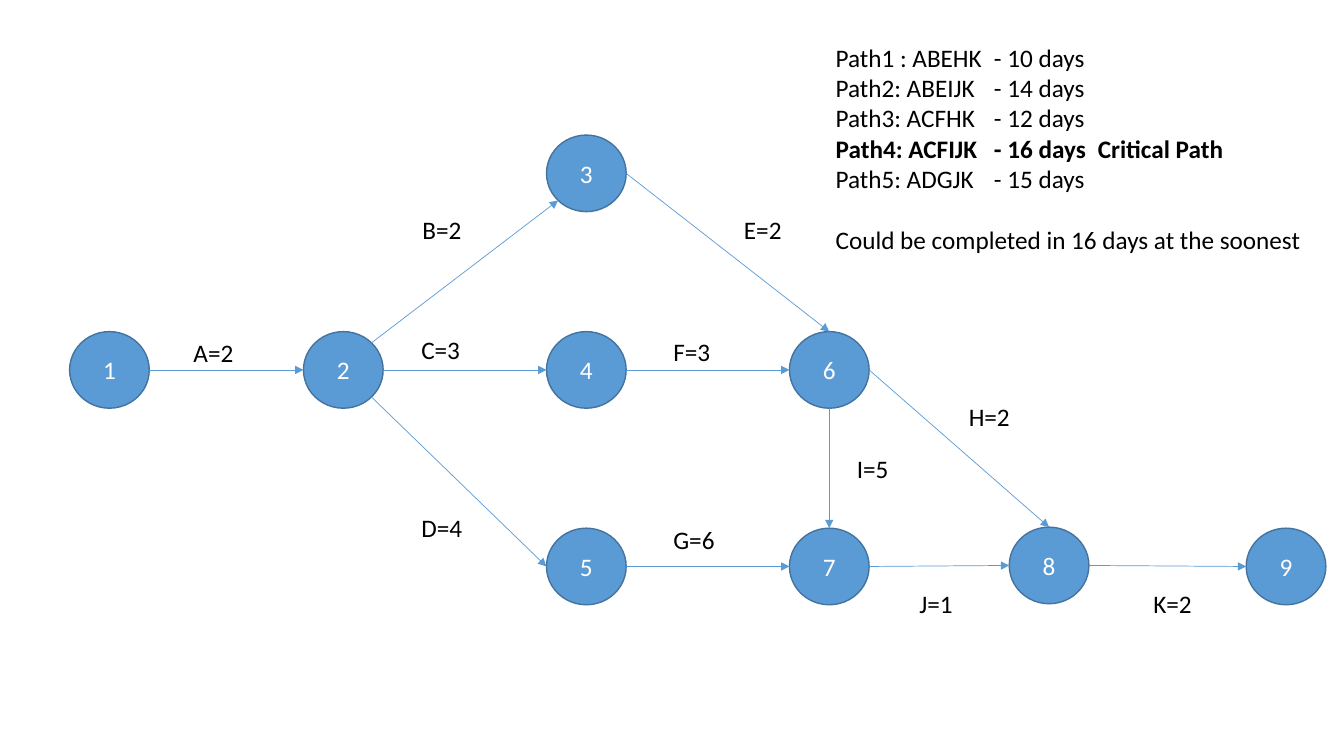
from dataclasses import dataclass
from math import cos, pi, sin

from lxml import etree
from pptx import Presentation
from pptx.dml.color import RGBColor
from pptx.enum.shapes import MSO_CONNECTOR, MSO_SHAPE
from pptx.enum.text import MSO_ANCHOR, MSO_AUTO_SIZE, PP_ALIGN
from pptx.oxml.ns import qn
from pptx.util import Inches, Pt

STRAIGHT = MSO_CONNECTOR.STRAIGHT
ELLIPSE = MSO_SHAPE.OVAL
MIDDLE = MSO_ANCHOR.MIDDLE
GROW = MSO_AUTO_SIZE.SHAPE_TO_FIT_TEXT
LEFT, CENTER = PP_ALIGN.LEFT, PP_ALIGN.CENTER


@dataclass(frozen=True)
class Theme:
    """Colours, font and sizes shared by the whole slide."""

    node: RGBColor = RGBColor(0x5B, 0x9B, 0xD5)
    outline: RGBColor = RGBColor(0x43, 0x73, 0x9E)
    light: RGBColor = RGBColor(0xFF, 0xFF, 0xFF)
    dark: RGBColor = RGBColor(0, 0, 0)
    font: str = "Calibri"
    size: int = 18
    outline_width: float = 1
    arrow_width: float = 0.5


THEME = Theme()
NODE_WIDTH, NODE_HEIGHT = 0.79, 0.76
LABEL_HEIGHT = 0.4
TOP_ROW, MIDDLE_ROW, BOTTOM_ROW = 1.34, 3.29, 5.24
TOP, LEFT_SIDE, BOTTOM, LOWER_RIGHT, RIGHT, UPPER_RIGHT = 0, 2, 4, 5, 6, 7
LOWER_LEFT = 3

EVENTS = {
    "1": (0.69, MIDDLE_ROW),
    "2": (3.01, MIDDLE_ROW),
    "3": (5.42, TOP_ROW),
    "4": (5.42, MIDDLE_ROW),
    "5": (5.42, BOTTOM_ROW),
    "6": (7.83, MIDDLE_ROW),
    "7": (7.83, BOTTOM_ROW),
    "8": (10.01, 5.23),
    "9": (12.36, BOTTOM_ROW),
}
ACTIVITIES = [
    ("A=2", "1", RIGHT, "2", LEFT_SIDE, 1.82, 3.3, 0.85),
    ("B=2", "2", UPPER_RIGHT, "3", LOWER_LEFT, 4.09, 2.08, 0.59),
    ("C=3", "2", RIGHT, "4", LEFT_SIDE, 4.08, 3.27, 0.59),
    ("D=4", "2", LOWER_RIGHT, "5", LEFT_SIDE, 4.08, 5.03, 0.61),
    ("E=2", "3", RIGHT, "6", TOP, 7.28, 2.08, 0.58),
    ("F=3", "4", RIGHT, "6", LEFT_SIDE, 6.58, 3.29, 0.57),
    ("G=6", "5", RIGHT, "7", LEFT_SIDE, 6.58, 5.15, 0.62),
    ("H=2", "6", RIGHT, "8", TOP, 9.51, 3.93, 0.61),
    ("I=5", "6", BOTTOM, "7", TOP, 8.4, 4.45, 0.52),
    ("J=1", "7", RIGHT, "8", LEFT_SIDE, 9.02, 5.79, 0.54),
    ("K=2", "8", RIGHT, "9", LEFT_SIDE, 11.34, 5.79, 0.59),
]
PATHS = [
    ("Path1 : ABEHK\t- 10 days", False),
    ("Path2: ABEIJK\t- 14 days", False),
    ("Path3: ACFHK\t- 12 days", False),
    ("Path4: ACFIJK\t- 16 days\tCritical Path", True),
    ("Path5: ADGJK\t- 15 days", False),
]
CONCLUSION = "Could be completed in 16 days at the soonest"
PATH_TABS = (1.57, 2.6)


def write(para, text, color=THEME.dark, bold=False, align=LEFT, before=0, tabs=()):
    """Put formatted text into a paragraph."""
    para.alignment = align
    para.space_before = Pt(before)
    span = para.add_run()
    span.text = text
    span.font.name = THEME.font
    span.font.size = Pt(THEME.size)
    span.font.bold = bold
    span.font.color.rgb = color
    if tabs:
        stops = etree.SubElement(para._p.get_or_add_pPr(), qn("a:tabLst"))
        for position in tabs:
            etree.SubElement(stops, qn("a:tab"), pos=str(Inches(position)), algn="l")


def add_text_box(page, left, top, width, height, wrap=False):
    """Add an empty text box and return its text frame."""
    box = page.shapes.add_textbox(Inches(left), Inches(top), Inches(width), Inches(height))
    frame = box.text_frame
    frame.word_wrap = wrap
    frame.auto_size = GROW
    return frame


def add_event(page, name, left, top):
    """Add a numbered circle of the network."""
    event = page.shapes.add_shape(
        ELLIPSE, Inches(left), Inches(top), Inches(NODE_WIDTH), Inches(NODE_HEIGHT)
    )
    event.shadow.inherit = False
    event.fill.solid()
    event.fill.fore_color.rgb = THEME.node
    event.line.color.rgb = THEME.outline
    event.line.width = Pt(THEME.outline_width)
    event.text_frame.vertical_anchor = MIDDLE
    write(event.text_frame.paragraphs[0], name, color=THEME.light, align=CENTER)
    return event


def site_point(event, site):
    """Return the point of a circle's connection site, counted anticlockwise from the top."""
    angle = pi / 2 + site * pi / 4
    across = event.left + event.width / 2 * (1 + cos(angle))
    down = event.top + event.height / 2 * (1 - sin(angle))
    return round(across), round(down)


def add_arrow(page, start, start_site, end, end_site):
    """Join two circles with an attached arrow."""
    arrow = page.shapes.add_connector(
        STRAIGHT, *site_point(start, start_site), *site_point(end, end_site)
    )
    arrow.line.color.rgb = THEME.node
    arrow.line.width = Pt(THEME.arrow_width)
    etree.SubElement(arrow.line._get_or_add_ln(), qn("a:tailEnd"), type="triangle")
    etree.SubElement(arrow.element.spPr, qn("a:effectLst"))
    joints = arrow.element.xpath(".//p:cNvCxnSpPr")[0]
    for tag, event, site in (("a:stCxn", start, start_site), ("a:endCxn", end, end_site)):
        etree.SubElement(joints, qn(tag), id=str(event.shape_id), idx=str(site))


def add_summary(page):
    """Add the list of paths and the conclusion."""
    frame = add_text_box(page, 8.19, 0.37, 4.93, 2.22, wrap=True)
    for index, (text, critical) in enumerate(PATHS):
        para = frame.add_paragraph() if index else frame.paragraphs[0]
        write(para, text, bold=critical, tabs=PATH_TABS)
    write(frame.add_paragraph(), CONCLUSION, before=22)


def main():
    """Build the activity network slide."""
    deck = Presentation()
    deck.slide_width, deck.slide_height = Inches(13.33), Inches(7.5)
    page = deck.slides.add_slide(deck.slide_layouts[6])
    events = {name: add_event(page, name, *place) for name, place in EVENTS.items()}
    for _, start, start_site, end, end_site, *_ in ACTIVITIES:
        add_arrow(page, events[start], start_site, events[end], end_site)
    for text, *_, left, top, width in ACTIVITIES:
        frame = add_text_box(page, left, top, width, LABEL_HEIGHT)
        write(frame.paragraphs[0], text)
    add_summary(page)
    deck.save("out.pptx")


main()
